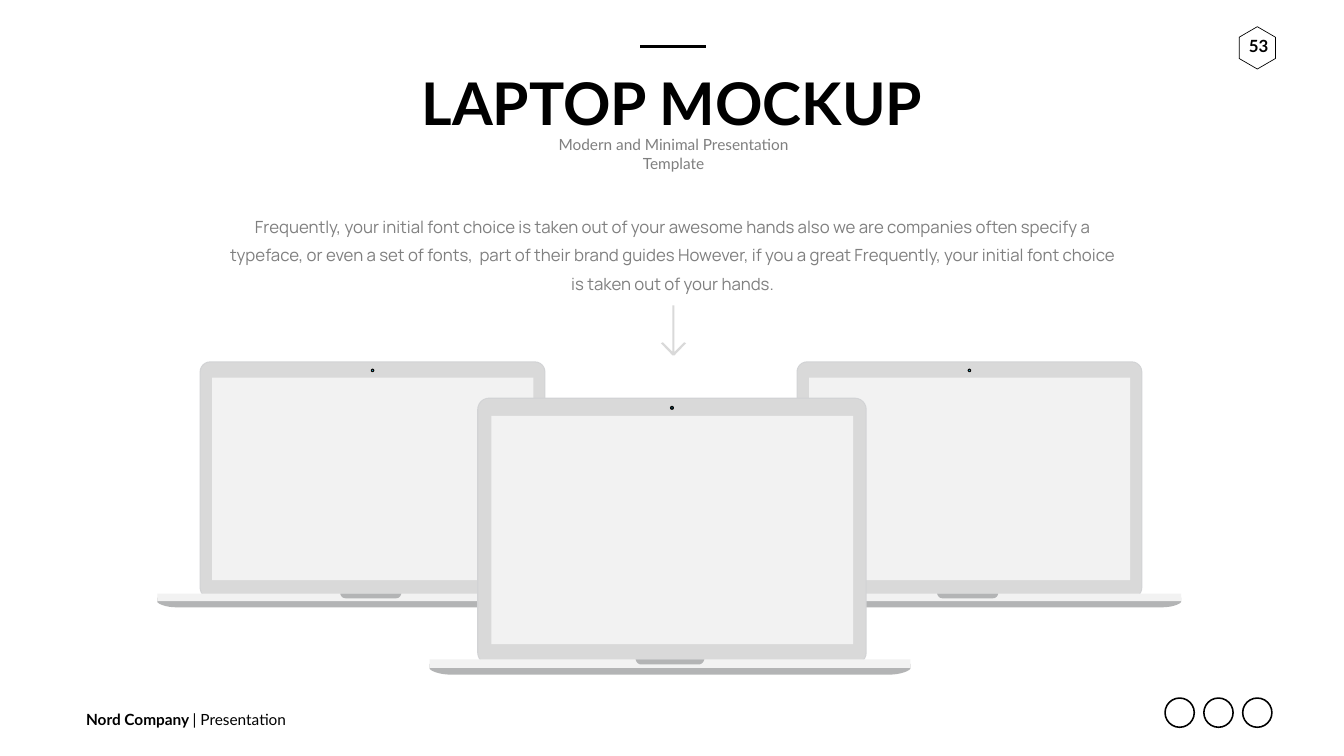
from pptx import Presentation
from pptx.dml.color import RGBColor
from pptx.enum.shapes import MSO_CONNECTOR, MSO_SHAPE
from pptx.enum.text import MSO_ANCHOR, MSO_AUTO_SIZE, PP_ALIGN
from pptx.oxml.ns import qn
from pptx.util import Inches, Pt
from lxml.etree import SubElement

COLORS = {
    "ink": "000000", "grey_text": "7F7F7F", "arrow": "D9D9D9",
    "rim": "D2D3D5", "lid": "D9D9D9", "screen": "F2F2F2",
    "underside": "B3B4B5", "camera": "0A0A0A", "lens": "2C99B4",
}


def curve(start, control_1, control_2, end, steps=8):
    """Points along a cubic Bezier curve, both ends included."""
    points = []
    for step in range(steps + 1):
        t = step / steps
        weights = ((1 - t) ** 3, 3 * t * (1 - t) ** 2, 3 * t * t * (1 - t), t ** 3)
        corners = (start, control_1, control_2, end)
        points.append(tuple(sum(w * corner[axis] for w, corner in zip(weights, corners))
                            for axis in (0, 1)))
    return points


def mirrored(points, center):
    """Close a left half with its reflection about x = center."""
    return points + [(2 * center - x, y) for x, y in reversed(points)]


class SlideBuilder:
    text_font = "Lato"
    body_font = "Manrope"

    def __init__(self, slide):
        self.slide = slide

    def color(self, name):
        return RGBColor.from_string(COLORS[name])

    def paint(self, shape, fill=None, line=None, width=1):
        shape.shadow.inherit = False
        if fill:
            shape.fill.solid()
            shape.fill.fore_color.rgb = self.color(fill)
        else:
            shape.fill.background()
        if line:
            shape.line.color.rgb = self.color(line)
            shape.line.width = Pt(width)
        else:
            shape.line.fill.background()
        return shape

    def preset(self, kind, box, shapes=None, **style):
        shapes = shapes or self.slide.shapes
        return self.paint(shapes.add_shape(kind, *map(Inches, box)), **style)

    def outline(self, points, fill, shapes=None):
        shapes = shapes or self.slide.shapes
        corners = [(Inches(x), Inches(y)) for x, y in points]
        builder = shapes.build_freeform(*corners[0])
        builder.add_line_segments(corners[1:], close=True)
        return self.paint(builder.convert_to_shape(), fill=fill)

    def rule(self, start, end, width):
        line = self.slide.shapes.add_connector(
            MSO_CONNECTOR.STRAIGHT, *map(Inches, start + end))
        line.line.color.rgb = self.color("ink")
        line.line.width = Pt(width)
        SubElement(line._element.spPr, qn("a:effectLst"))

    def set_text(self, shape, text, size, color="ink", font=None, bold=False,
                 align=PP_ALIGN.CENTER, anchor=MSO_ANCHOR.TOP, wrap=False):
        frame = shape.text_frame
        frame.word_wrap = wrap
        frame.auto_size = MSO_AUTO_SIZE.NONE
        frame.vertical_anchor = anchor
        paragraph = frame.paragraphs[0]
        paragraph.text = text
        paragraph.alignment = align
        paragraph.font.name = font or self.text_font
        paragraph.font.size = Pt(size)
        paragraph.font.bold = bold
        paragraph.font.color.rgb = self.color(color)
        return paragraph

    def title(self, text, box, size):
        shape = self.slide.shapes.title
        shape.left, shape.top, shape.width, shape.height = map(Inches, box)
        self.set_text(shape, text, size, bold=True)

    def text(self, text, box, size, **style):
        shape = self.slide.shapes.add_textbox(*map(Inches, box))
        return self.set_text(shape, text, size, **style)

    def body(self, text, box, size):
        shape = self.slide.shapes.add_textbox(*map(Inches, box))
        paragraph = self.set_text(shape, text, size, color="grey_text",
                                  font=self.body_font, wrap=True)
        paragraph.line_spacing = Pt(40.4)
        paragraph.space_before = Pt(0.2 * size)
        frame = shape.text_frame
        frame.margin_left = frame.margin_right = Inches(0.24)
        frame.margin_top = frame.margin_bottom = Inches(0.12)

    def down_arrow(self, center, top):
        half = [(-0.02, 0), (-0.02, 0.92), (-0.21, 0.73), (-0.25, 0.75), (-0.02, 0.99)]
        points = [(center + x, top + y) for x, y in half]
        self.outline(mirrored(points, center), "arrow")

    def laptop(self, left, top, scale=1):
        shapes = self.slide.shapes.add_group_shape().shapes
        width = 8.47
        middle = width / 2

        def place(points):
            return [(left + scale * x, top + scale * y) for x, y in points]

        def part(kind, x, y, w, h, fill):
            box = (left + scale * x, top + scale * y, scale * w, scale * h)
            return self.preset(kind, box, shapes, fill=fill)

        underside = [(0, 4.69)] + curve((0, 4.77), (0, 4.8), (0.15, 4.88), (0.38, 4.88))
        self.outline(place(mirrored(underside, middle)), "underside", shapes)
        for inset, fill in ((0, "rim"), (0.02, "lid")):
            height = 4.7 - 2 * inset
            lid = part(MSO_SHAPE.ROUNDED_RECTANGLE, 0.84 + inset, inset,
                       6.86 - 2 * inset, height, fill)
            lid.adjustments[0] = (0.21 - inset) / height
        part(MSO_SHAPE.RECTANGLE, 0, 4.61, width, 0.15, "screen")
        notch = curve((3.63, 4.61), (3.64, 4.66), (3.68, 4.7), (3.73, 4.7))
        self.outline(place(mirrored(notch, middle)), "underside", shapes)
        part(MSO_SHAPE.RECTANGLE, 1.09, 0.32, 6.37, 4.02, "screen")
        for size, fill in ((0.07, "camera"), (0.04, "ink"), (0.02, "lens")):
            part(MSO_SHAPE.OVAL, 4.27 - size / 2, 0.18 - size / 2, size, size, fill)


def main():
    presentation = Presentation()
    presentation.slide_width = Inches(26.66)
    presentation.slide_height = Inches(15)
    builder = SlideBuilder(presentation.slides.add_slide(presentation.slide_layouts[5]))

    footer = builder.text("", (1.61, 14.03, 4.17, 0.47), 22,
                          align=PP_ALIGN.LEFT, anchor=MSO_ANCHOR.MIDDLE)
    footer.add_run().text = "Nord Company "
    footer.runs[0].font.bold = True
    footer.add_run().text = "| Presentation"

    badge = builder.preset(MSO_SHAPE.HEXAGON, (24.52, 0.59, 0.84, 0.72), line="ink")
    badge.rotation = 90
    badge.adjustments[0] = 0.29
    builder.text("53", (24.49, 0.65, 0.95, 0.61), 24, bold=True)
    for index in range(3):
        builder.preset(MSO_SHAPE.OVAL, (23.11 + 0.77 * index, 13.85, 0.58, 0.58),
                       line="ink", width=2.25)

    builder.title("LAPTOP MOCKUP", (8.18, 1.28, 10.3, 1.51), 84)
    builder.text("Modern and Minimal Presentation Template", (10.38, 2.82, 5.96, 0.47), 22,
                 color="grey_text", anchor=MSO_ANCHOR.MIDDLE, wrap=True)
    builder.rule((12.7, 0.92), (14, 0.92), 4.5)
    builder.body(
        "Frequently, your initial font choice is taken out of your awesome hands also "
        "we are companies often specify a typeface, or even a set of fonts,  part of "
        "their brand guides However, if you a great Frequently, your initial font "
        "choice is taken out of your hands.",
        (4.32, 4.02, 18.04, 1.92), 24)
    builder.down_arrow(13.36, 6.06)

    builder.laptop(14.96, 7.17)
    builder.laptop(3.12, 7.17)
    builder.laptop(8.52, 7.89, scale=9.54 / 8.47)

    presentation.save("out.pptx")


if __name__ == "__main__":
    main()
